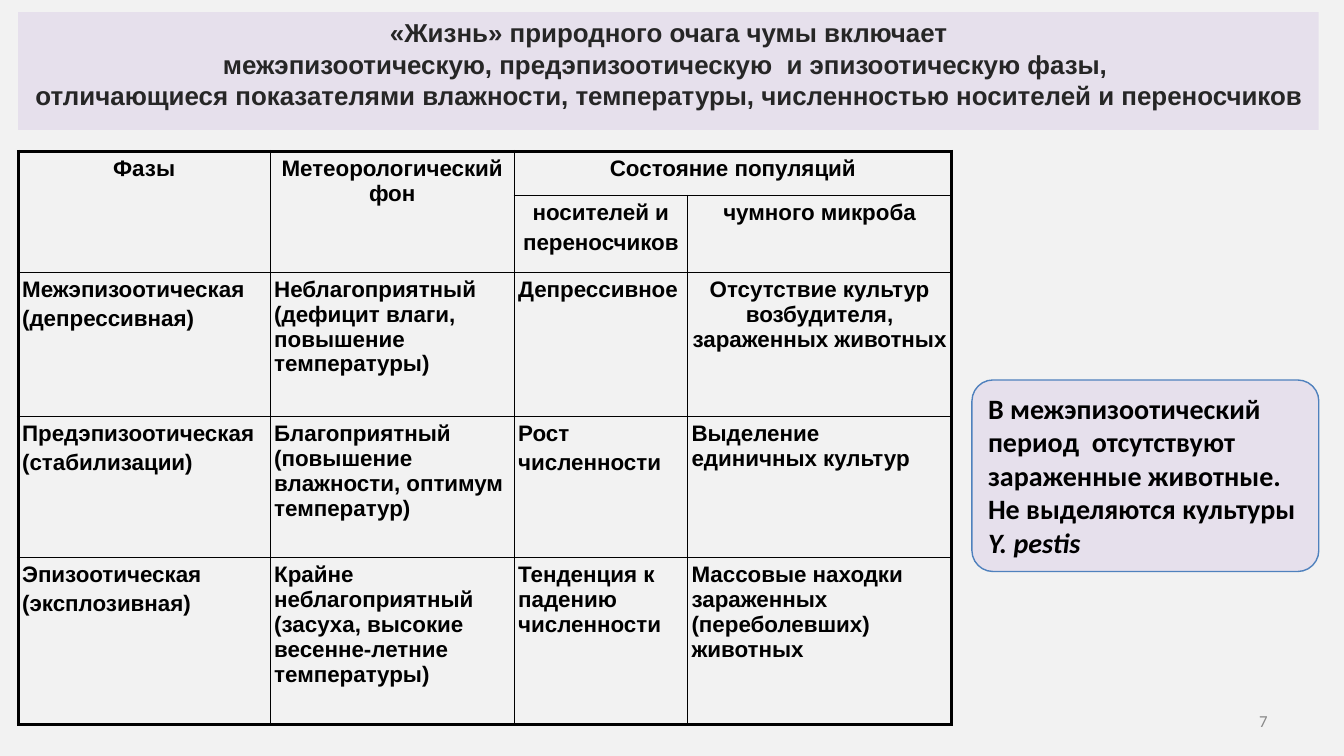
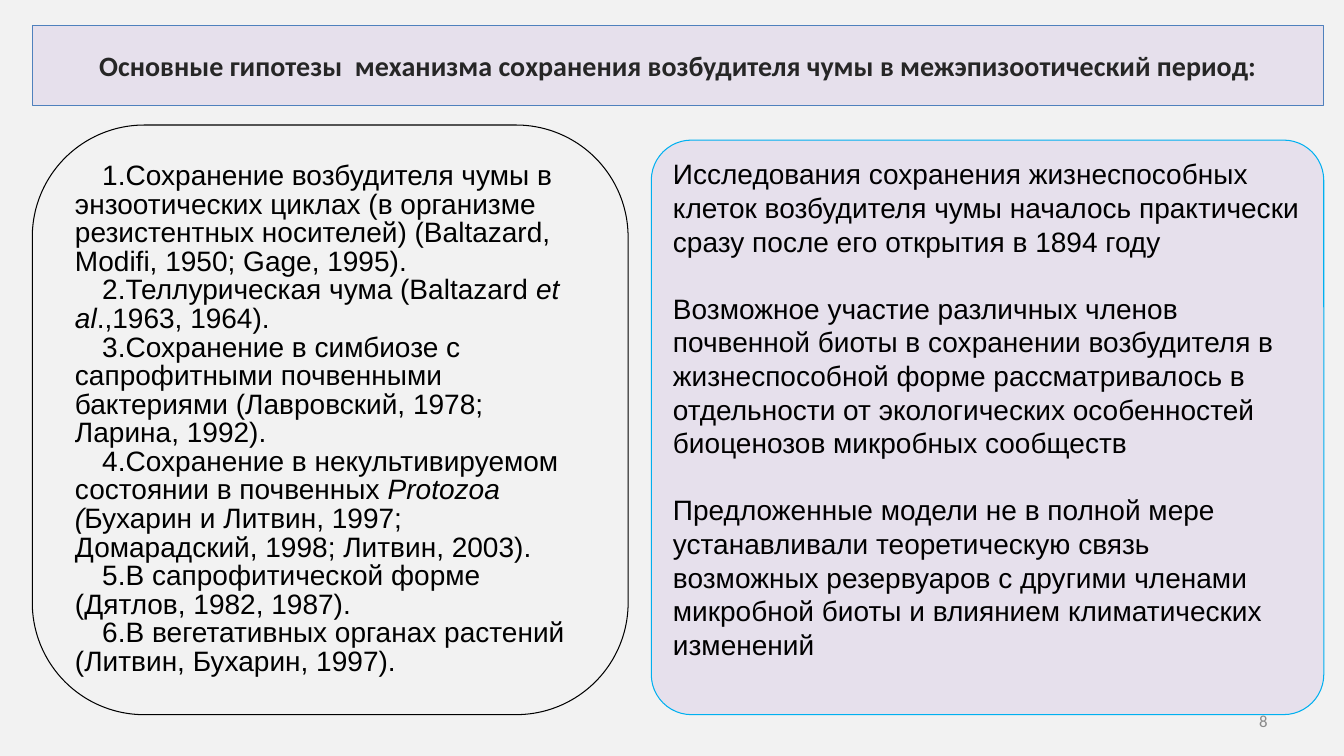
from lxml import etree
from pptx import Presentation
from pptx.dml.color import RGBColor
from pptx.enum.shapes import MSO_SHAPE
from pptx.enum.text import MSO_ANCHOR, PP_ALIGN
from pptx.oxml.ns import qn
from pptx.util import Inches, Pt

# Shared style
PAPER = RGBColor(0xF2, 0xF2, 0xF2)
LILAC = RGBColor(0xE6, 0xE0, 0xEC)
BLUE = RGBColor(0x4F, 0x81, 0xBD)
CYAN = RGBColor(0x00, 0xB0, 0xF0)
BLACK = RGBColor(0, 0, 0)
TITLE_INK = RGBColor(0x26, 0x26, 0x26)
GREY = RGBColor(0x89, 0x89, 0x89)
LEFT, CENTER, RIGHT = PP_ALIGN.LEFT, PP_ALIGN.CENTER, PP_ALIGN.RIGHT
THIN, THICK = 1, 2.25

# Content: a paragraph is a string or a list of (text, italic) runs
PHASES_TITLE = ["«Жизнь» природного очага чумы включает\n"
                "межэпизоотическую, предэпизоотическую  и эпизоотическую фазы, \n"
                "отличающиеся показателями влажности, температуры, "
                "численностью носителей и переносчиков"]
COLS = [2.5, 2.42, 1.72, 2.62]
ROWS = [0.44, 0.76, 1.43, 1.4, 1.66]
HEADER_ROWS = 2
SPANS = {(0, 0): (2, 1), (0, 1): (2, 1), (0, 2): (1, 2)}
CENTERED_BODY = {(2, 3)}
PHASES = [
    [["Фазы"], ["Метеорологический фон"], ["Состояние популяций"], None],
    [None, None, ["носителей и", "переносчиков"], ["чумного микроба"]],
    [["Межэпизоотическая", "(депрессивная)"],
     ["Неблагоприятный (дефицит влаги, повышение температуры)"],
     ["Депрессивное"],
     ["Отсутствие культур возбудителя, зараженных животных"]],
    [["Предэпизоотическая", "(стабилизации)"],
     ["Благоприятный (повышение влажности, оптимум температур)"],
     ["Рост", "численности"],
     ["Выделение единичных культур"]],
    [["Эпизоотическая", "(эксплозивная)"],
     ["Крайне неблагоприятный (засуха, высокие весенне-летние температуры)"],
     ["Тенденция к падению численности"],
     ["Массовые находки зараженных (переболевших) животных"]],
]
PHASES_NOTE = [
    "В межэпизоотический период  отсутствуют зараженные животные.",
    [("Не выделяются культуры ", False), ("Y. pestis", True)],
]

HYPOTHESES_TITLE = ["Основные гипотезы  механизма сохранения возбудителя чумы "
                    "в межэпизоотический период:"]
HYPOTHESES = [
    "Сохранение возбудителя чумы в энзоотических циклах (в организме "
    "резистентных носителей) (Baltazard, Modifi, 1950; Gage, 1995).",
    [("Теллурическая чума (Baltazard ", False), ("et al", True),
     (".,1963, 1964).", False)],
    "Сохранение в симбиозе с сапрофитными почвенными бактериями "
    "(Лавровский, 1978; Ларина, 1992).",
    [("Сохранение в некультивируемом состоянии в почвенных ", False),
     ("Protozoa (", True),
     ("Бухарин и Литвин, 1997; Домарадский, 1998; Литвин, 2003).", False)],
    "В сапрофитической форме (Дятлов, 1982, 1987).",
    "В вегетативных органах растений (Литвин, Бухарин, 1997).",
]
STUDIES = [
    "Исследования сохранения жизнеспособных клеток возбудителя чумы началось "
    "практически сразу после его открытия в 1894 году",
    "Возможное участие различных членов почвенной биоты в сохранении "
    "возбудителя в жизнеспособной форме рассматривалось в отдельности от "
    "экологических особенностей биоценозов микробных сообществ",
    "Предложенные модели не в полной мере устанавливали теоретическую связь "
    "возможных резервуаров с другими членами микробной биоты и влиянием "
    "климатических изменений",
]


def write(tf, paragraphs, size=20, font="Arial", color=BLACK, bold=False,
          align=LEFT, anchor=MSO_ANCHOR.TOP, gap=0, spacing=None,
          number_indent=None):
    """Fill a text frame; gap is the space in points between paragraphs."""
    tf.word_wrap = True
    tf.vertical_anchor = anchor
    for i, content in enumerate(paragraphs):
        p = tf.paragraphs[0] if i == 0 else tf.add_paragraph()
        if number_indent is not None:
            pPr = p._p.get_or_add_pPr()
            pPr.set("marL", "0")
            pPr.set("indent", str(Inches(number_indent)))
            etree.SubElement(pPr, qn("a:buFont"), typeface="+mj-lt")
            etree.SubElement(pPr, qn("a:buAutoNum"), type="arabicPeriod")
        p.alignment = align
        if spacing:
            p.line_spacing = spacing
        if i and gap:
            p.space_before = Pt(gap)
        runs = [(content, False)] if isinstance(content, str) else content
        for text, italic in runs:
            for j, line in enumerate(text.split("\n")):
                if j:
                    p.add_line_break()
                r = p.add_run()
                r.text = line
                r.font.size = Pt(size)
                r.font.name = font
                r.font.color.rgb = color
                r.font.bold = bold
                r.font.italic = italic


def add_panel(slide, box, paragraphs, fill=LILAC, line=None, width=0.75,
              radius=None, **text_format):
    kind = MSO_SHAPE.RECTANGLE if radius is None else MSO_SHAPE.ROUNDED_RECTANGLE
    sp = slide.shapes.add_shape(kind, *map(Inches, box))
    sp.shadow.inherit = False
    if radius is not None:
        sp.adjustments[0] = radius
    sp.fill.solid()
    sp.fill.fore_color.rgb = fill
    if line is None:
        sp.line.fill.background()
    else:
        sp.line.color.rgb = line
        sp.line.width = Pt(width)
    write(sp.text_frame, paragraphs, **text_format)


def add_title(slide, box, paragraphs, **options):
    add_panel(slide, box, paragraphs, color=TITLE_INK, bold=True, align=CENTER,
              **options)


def add_slide(prs):
    s = prs.slides.add_slide(prs.slide_layouts[6])
    s.background.fill.solid()
    s.background.fill.fore_color.rgb = PAPER
    return s


def add_number(slide, number):
    tb = slide.shapes.add_textbox(*map(Inches, (9.56, 6.95, 3.11, 0.4)))
    write(tb.text_frame, [str(number)], size=12, font="Calibri", color=GREY,
          align=RIGHT, anchor=MSO_ANCHOR.MIDDLE)


def set_borders(cell, widths):
    """Draw cell borders; widths are points for left, right, top, bottom."""
    tcPr = cell._tc.get_or_add_tcPr()
    for i, (side, width) in enumerate(zip("LRTB", widths)):
        ln = etree.Element(qn(f"a:ln{side}"), w=str(Pt(width)))
        fill = etree.SubElement(ln, qn("a:solidFill"))
        etree.SubElement(fill, qn("a:srgbClr"), val=str(BLACK))
        tcPr.insert(i, ln)


def add_phase_table(slide, left, top):
    frame = slide.shapes.add_table(len(ROWS), len(COLS), Inches(left), Inches(top),
                                   Inches(sum(COLS)), Inches(sum(ROWS)))
    table = frame.table
    table.first_row = table.horz_banding = False
    for column, width in zip(table.columns, COLS):
        column.width = Inches(width)
    for row, height in zip(table.rows, ROWS):
        row.height = Inches(height)
    for r, row in enumerate(PHASES):
        for c, paragraphs in enumerate(row):
            cell = table.cell(r, c)
            cell.fill.solid()
            cell.fill.fore_color.rgb = PAPER
            if paragraphs is None:
                continue
            down, across = SPANS.get((r, c), (1, 1))
            if (down, across) != (1, 1):
                cell.merge(table.cell(r + down - 1, c + across - 1))
            cell.margin_left = cell.margin_right = Inches(0.04)
            cell.margin_top = cell.margin_bottom = Inches(0.05)
            centered = r < HEADER_ROWS or (r, c) in CENTERED_BODY
            write(cell.text_frame, paragraphs, size=16, bold=True, gap=3.2,
                  align=CENTER if centered else LEFT)
            outer = (c == 0, c + across == len(COLS),
                     r == 0, r + down == len(ROWS))
            set_borders(cell, [THICK if edge else THIN for edge in outer])


def build_phases(prs, number):
    s = add_slide(prs)
    add_phase_table(s, 0.18, 1.5)
    add_title(s, (0.18, 0.12, 12.9, 1.17), PHASES_TITLE, size=18.5)
    add_panel(s, (9.64, 3.77, 3.44, 1.9), PHASES_NOTE, line=BLUE, width=1,
              radius=0.11, font="Calibri", bold=True)
    add_number(s, number)


def build_hypotheses(prs, number):
    s = add_slide(prs)
    add_title(s, (0.32, 0.25, 12.81, 0.8), HYPOTHESES_TITLE, line=BLUE,
              font="Calibri", anchor=MSO_ANCHOR.MIDDLE)
    add_panel(s, (0.32, 1.24, 5.91, 5.85), HYPOTHESES, fill=PAPER, line=BLACK,
              radius=0.19, spacing=0.85, number_indent=0.27)
    add_panel(s, (6.46, 1.39, 6.67, 5.7), STUDIES, line=CYAN, radius=0.07, gap=24)
    add_number(s, number)


def main():
    prs = Presentation()
    prs.slide_width, prs.slide_height = Inches(13.33), Inches(7.5)
    for number, build in enumerate((build_phases, build_hypotheses), start=7):
        build(prs, number)
    prs.save("out.pptx")


if __name__ == "__main__":
    main()
